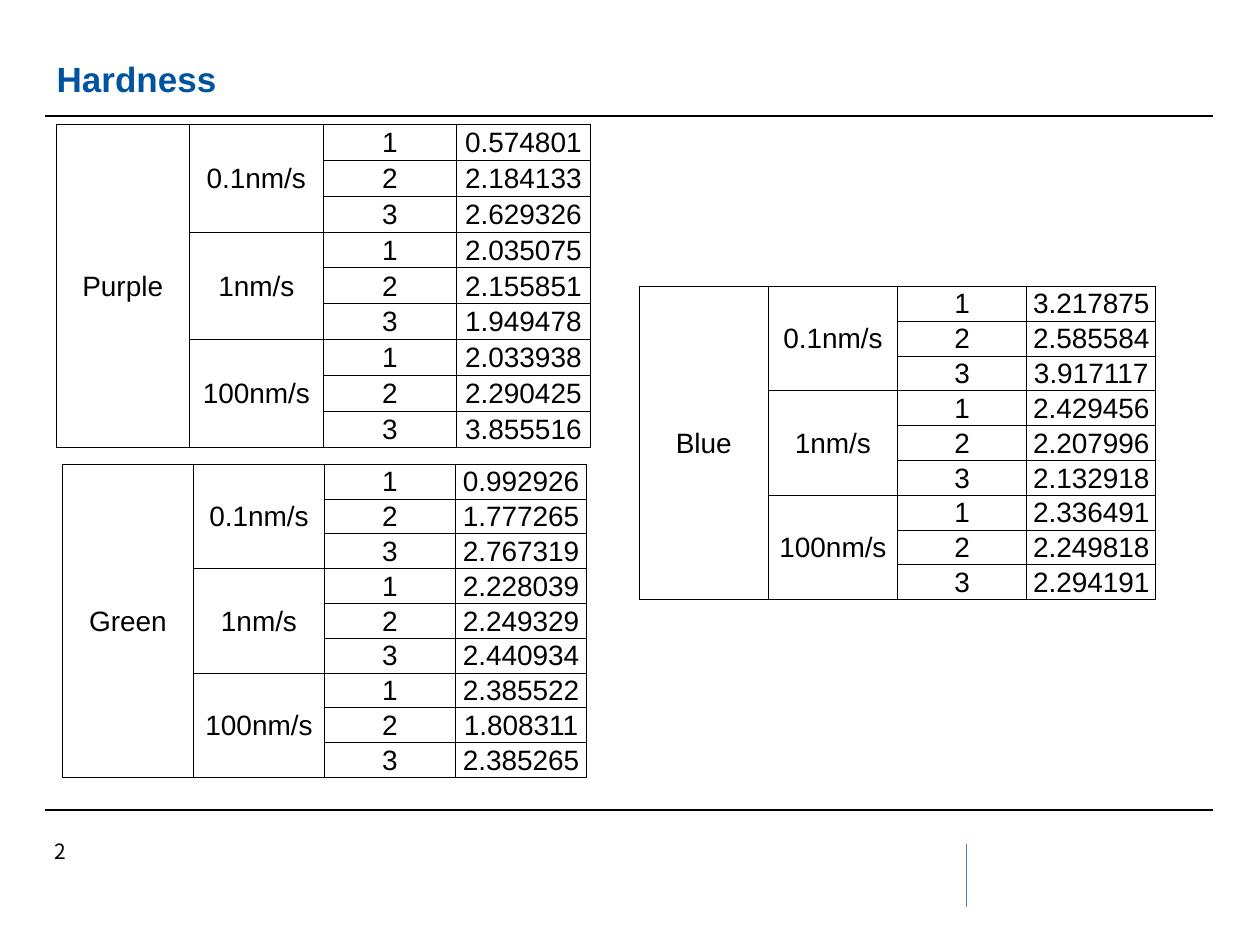
"""Build the hardness slide with one table per colour sample."""
from lxml.etree import SubElement
from pptx import Presentation
from pptx.dml.color import RGBColor
from pptx.enum.shapes import MSO_CONNECTOR as Connector
from pptx.enum.text import MSO_ANCHOR as Anchor, MSO_AUTO_SIZE as AutoSize, PP_ALIGN as Align
from pptx.oxml.ns import qn
from pptx.util import Pt

THEME = {
    "ink": "000000",
    "title": {"name": "Arial", "size": 20, "bold": True, "color": "00549F"},
    "cell": {"name": "Arial", "size": 16, "bold": False, "color": "000000"},
    "number": {"name": "Noto Sans CJK KR", "size": 12, "bold": False, "color": "000000"},
    "border": 0.5,
}
TITLE = ("Hardness", (25.2, 31.7, 635, 26.6))
PAGE_NUMBER = ("2", (23.8, 475.9, 50.4, 21.6))
RULES = [
    ((552.2, 482.4), (552.2, 518.4), "4B7EBC", 0.75),
    ((25.9, 66.1), (693.4, 66.1), THEME["ink"], 1),
    ((25.5, 462.8), (693.1, 462.8), THEME["ink"], 1),
]
RATES = ["0.1nm/s", "1nm/s", "100nm/s"]
TRIALS = ["1", "2", "3"]
SAMPLES = [
    {"name": "Blue", "frame": (365.3, 163.6, 295.2, 177.1), "row": 16.5,
     "values": ["3.217875", "2.585584", "3.917117", "2.429456", "2.207996",
                "2.132918", "2.336491", "2.249818", "2.294191"]},
    {"name": "Green", "frame": (35.7, 265.2, 299.5, 177.1), "row": 16,
     "values": ["0.992926", "1.777265", "2.767319", "2.228039", "2.249329",
                "2.440934", "2.385522", "1.808311", "2.385265"]},
    {"name": "Purple", "frame": (32, 71.1, 305.3, 184.7), "row": 20.52,
     "values": ["0.574801", "2.184133", "2.629326", "2.035075", "2.155851",
                "1.949478", "2.033938", "2.290425", "3.855516"]},
]
CELL_FORMAT = {
    "vertical_anchor": Anchor.MIDDLE, "margin_left": Pt(0.7),
    "margin_right": Pt(0.7), "margin_top": Pt(0.7), "margin_bottom": 0,
}


def points(lengths):
    return [Pt(length) for length in lengths]


def apply(target, values):
    for name, value in values.items():
        setattr(target, name, value)


def write(frame, text, style, align):
    para = frame.paragraphs[0]
    para.alignment = align
    span = para.add_run()
    span.text = text
    apply(span.font, {"name": style["name"], "size": Pt(style["size"]), "bold": style["bold"]})
    span.font.color.rgb = RGBColor.from_string(style["color"])


def add_rule(page, start, end, color, width):
    rule = page.shapes.add_connector(Connector.STRAIGHT, *points(start + end))
    rule.line.color.rgb = RGBColor.from_string(color)
    rule.line.width = Pt(width)
    SubElement(rule.element.spPr, qn("a:effectLst"))


def format_cell(cell):
    apply(cell, CELL_FORMAT)
    properties = cell._tc.get_or_add_tcPr()
    for side in ("lnL", "lnR", "lnT", "lnB"):
        border = SubElement(properties, qn(f"a:{side}"), w=str(Pt(THEME["border"])))
        fill = SubElement(border, qn("a:solidFill"))
        SubElement(fill, qn("a:srgbClr"), val=THEME["ink"])
    cell.fill.background()


def add_sample(page, sample):
    values = sample["values"]
    count, group = len(values), len(TRIALS)
    left, top, width, height = points(sample["frame"])
    box = page.shapes.add_table(count, 4, left, top, width, height)
    table = box.table
    apply(table, {"first_row": False, "horz_banding": False})
    for row in table.rows:
        row.height = Pt(sample["row"])
    box.height = height
    for cell in table.iter_cells():
        format_cell(cell)

    entries = {(0, 0): sample["name"]}
    table.cell(0, 0).merge(table.cell(count - 1, 0))
    for index, rate in enumerate(RATES):
        first = index * group
        table.cell(first, 1).merge(table.cell(first + group - 1, 1))
        entries[first, 1] = rate
    for index, value in enumerate(values):
        entries[index, 2] = TRIALS[index % group]
        entries[index, 3] = value
    for place, text in entries.items():
        write(table.cell(*place).text_frame, text, THEME["cell"], Align.CENTER)


def main():
    deck = Presentation()
    deck.slide_width, deck.slide_height = Pt(720), Pt(540)
    page = deck.slides.add_slide(deck.slide_layouts[5])
    for rule in RULES:
        add_rule(page, *rule)

    text, frame = PAGE_NUMBER
    number = page.shapes.add_textbox(*points(frame))
    apply(number.text_frame, {"word_wrap": True, "auto_size": AutoSize.SHAPE_TO_FIT_TEXT})
    write(number.text_frame, text, THEME["number"], Align.LEFT)

    text, frame = TITLE
    title = page.shapes.title
    apply(title, dict(zip(("left", "top", "width", "height"), points(frame))))
    apply(title.text_frame, {"vertical_anchor": Anchor.MIDDLE, "auto_size": AutoSize.NONE})
    write(title.text_frame, text, THEME["title"], Align.LEFT)

    for sample in SAMPLES:
        add_sample(page, sample)
    deck.save("out.pptx")


if __name__ == "__main__":
    main()
